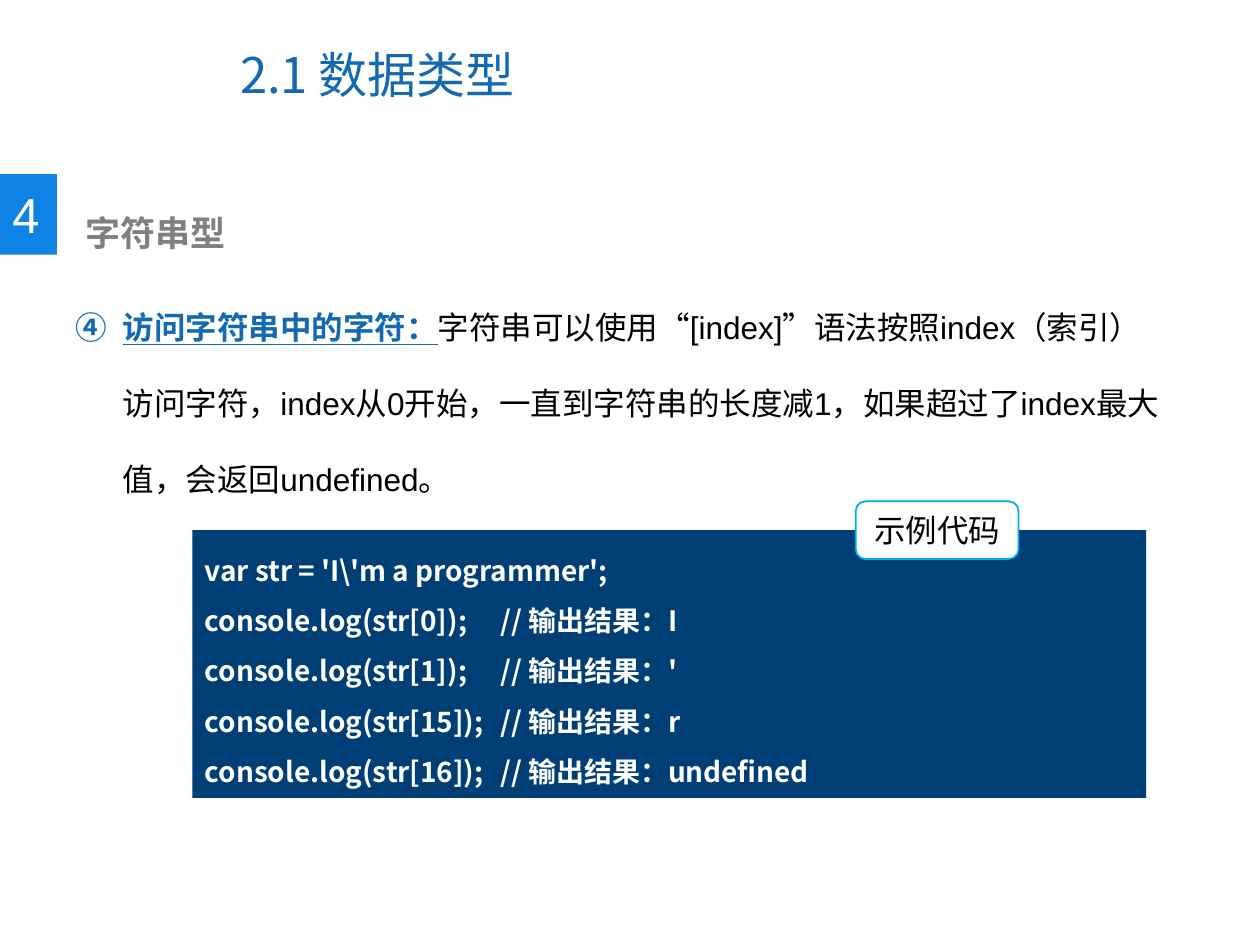
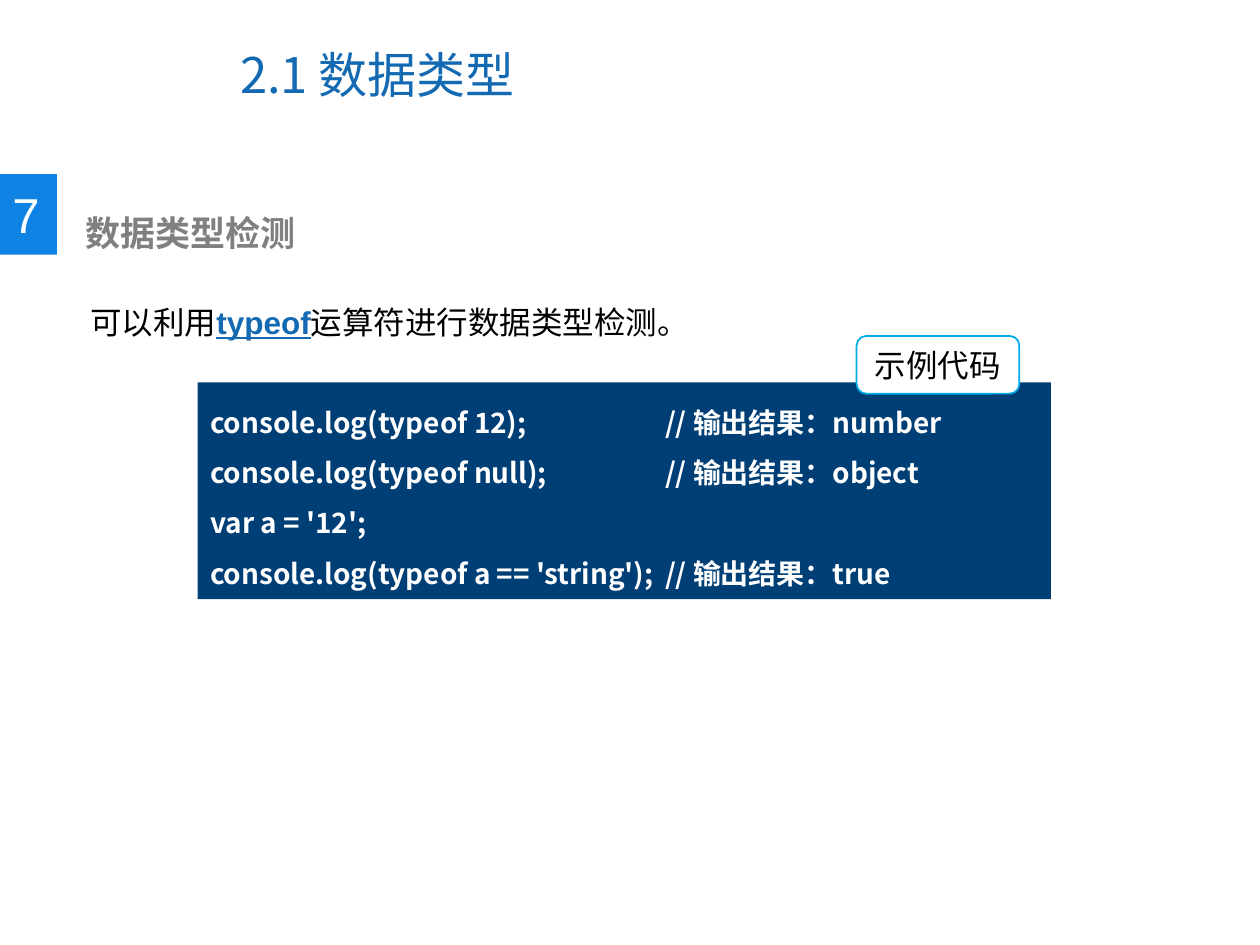
from lxml.etree import SubElement
from pptx import Presentation
from pptx.dml.color import RGBColor
from pptx.enum.shapes import MSO_SHAPE
from pptx.enum.text import MSO_ANCHOR, MSO_AUTO_SIZE, PP_ALIGN
from pptx.oxml.ns import qn
from pptx.util import Pt

# Shared style
LATIN, CJK = "Arial", "Noto Sans CJK SC"
BLUE, BADGE, NAVY, CYAN = "1369B2", "0F83E3", "003F75", "00ACE6"
GREY, BLACK, WHITE = "808080", "000000", "FFFFFF"

TITLE = {"size": Pt(28), "name": LATIN, "bold": False, "color": BLUE}
TITLE_NUMBER = {**TITLE, "name": CJK}
NUMBER = {"size": Pt(28), "name": LATIN, "color": WHITE}
HEADING = {"size": Pt(20), "name": LATIN, "bold": True, "color": GREY}
PLAIN = {"size": Pt(18), "name": LATIN, "color": BLACK}
KEYWORD = {**PLAIN, "bold": True, "underline": True, "color": BLUE}
CODE = {"size": Pt(16), "name": CJK, "bold": True, "color": WHITE}
FRAME = {"word_wrap": True, "auto_size": MSO_AUTO_SIZE.NONE,
         "vertical_anchor": MSO_ANCHOR.TOP}
MIDDLE = {**FRAME, "vertical_anchor": MSO_ANCHOR.MIDDLE}

# Boxes: left, top, width, height in points
TITLE_BOX = (130, 12, 372, 61)
BADGE_BOX = (0, 99.5, 32.5, 46)
HEADING_BOX = (34, 117.5, 370, 31.5)
CHIP_SIZE = (93, 33)


def rgb(value):
    return RGBColor.from_string(value)


def apply(target, values):
    for name, value in values.items():
        setattr(target, name, value)


def place(shape, box):
    apply(shape, dict(zip(("left", "top", "width", "height"), map(Pt, box))))


def write(paragraph, *pieces):
    """Add (text, style) runs to a paragraph."""
    for text, style in pieces:
        run = paragraph.add_run()
        run.text = text
        apply(run.font, {k: v for k, v in style.items() if k != "color"})
        run.font.color.rgb = rgb(style["color"])
        SubElement(run.font._element, qn("a:ea"), typeface=CJK)


def add_block(slide, kind, box, fill, line=None):
    block = slide.shapes.add_shape(kind, *map(Pt, box))
    block.shadow.inherit = False
    block.fill.solid()
    block.fill.fore_color.rgb = rgb(fill)
    if line:
        block.line.color.rgb = rgb(line)
        block.line.width = Pt(1)
    else:
        block.line.fill.background()
    return block


def add_title(slide, box):
    title = slide.shapes.title
    place(title, box)
    apply(title.text_frame, MIDDLE)
    paragraph = title.text_frame.paragraphs[0]
    paragraph.alignment = PP_ALIGN.LEFT
    write(paragraph, ("2.1 ", TITLE_NUMBER), ("数据类型", TITLE))


def add_section(slide, number, heading):
    # Numbered badge at the slide edge
    badge = add_block(slide, MSO_SHAPE.RECTANGLE, BADGE_BOX, BADGE)
    apply(badge.text_frame, {**MIDDLE, "margin_right": 0})
    paragraph = badge.text_frame.paragraphs[0]
    paragraph.alignment = PP_ALIGN.LEFT
    write(paragraph, (number, NUMBER))
    # Section heading
    label = slide.shapes.add_textbox(*map(Pt, HEADING_BOX))
    apply(label.text_frame, {**FRAME, "margin_left": Pt(15)})
    write(label.text_frame.paragraphs[0], (heading, HEADING))


def add_explanation(slide, box, pieces, start=None):
    body = slide.placeholders[1]
    place(body, box)
    apply(body.text_frame, FRAME)
    paragraph = body.text_frame.paragraphs[0]
    apply(paragraph, {"line_spacing": 2.0, "space_before": Pt(0)})
    write(paragraph, *pieces)
    # Circled number, or no bullet at all
    properties = paragraph._p.get_or_add_pPr()
    indent = Pt(27) if start else 0
    properties.set("marL", str(indent))
    properties.set("indent", str(-indent))
    if start:
        SubElement(properties, qn("a:buFont"), typeface="+mj-ea")
        SubElement(properties, qn("a:buAutoNum"),
                   type="circleNumDbPlain", startAt=str(start))
    else:
        SubElement(properties, qn("a:buNone"))


def add_code(slide, box, lines, comment_at, chip_offset):
    panel = add_block(slide, MSO_SHAPE.RECTANGLE, box, NAVY)
    frame = panel.text_frame
    apply(frame, FRAME)
    for index, (statement, result) in enumerate(lines):
        paragraph = frame.add_paragraph() if index else frame.paragraphs[0]
        apply(paragraph, {"line_spacing": 1.5, "alignment": PP_ALIGN.LEFT})
        comment = f"\t// 输出结果：{result}" if result else ""
        write(paragraph, (statement + comment, CODE))
        # Comments line up at one tab stop
        tabs = SubElement(paragraph._p.get_or_add_pPr(), qn("a:tabLst"))
        SubElement(tabs, qn("a:tab"), pos=str(Pt(comment_at)), algn="l")
    # Label over the upper edge
    left, top = box[0] + chip_offset[0], box[1] + chip_offset[1]
    chip = add_block(slide, MSO_SHAPE.ROUNDED_RECTANGLE,
                     (left, top, *CHIP_SIZE), WHITE, CYAN)
    apply(chip.text_frame, MIDDLE)
    paragraph = chip.text_frame.paragraphs[0]
    paragraph.alignment = PP_ALIGN.CENTER
    write(paragraph, ("示例代码", PLAIN))


def add_topic(deck, number, heading, explanation, code):
    slide = deck.slides.add_slide(deck.slide_layouts[1])
    add_title(slide, TITLE_BOX)
    add_section(slide, number, heading)
    add_explanation(slide, **explanation)
    add_code(slide, **code)


def main():
    deck = Presentation()
    deck.slide_width, deck.slide_height = Pt(720), Pt(540)

    # Accessing characters of a string
    add_topic(
        deck, "4", "字符串型",
        {"box": (36, 151, 634, 138), "start": 4, "pieces": [
            ("访问字符串中的字符：", KEYWORD),
            ("字符串可以使用“[index]”语法按照index（索引）访问字符，"
             "index从0开始，一直到字符串的长度减1，"
             "如果超过了index最大值，会返回undefined。", PLAIN)]},
        {"box": (110, 303, 545, 153), "comment_at": 169,
         "chip_offset": (379, -16.5), "lines": [
             ("var str = 'I\\'m a programmer';", None),
             ("console.log(str[0]);", "I"),
             ("console.log(str[1]);", "'"),
             ("console.log(str[15]);", "r"),
             ("console.log(str[16]);", "undefined")]})

    # Detecting data types
    add_topic(
        deck, "7", "数据类型检测",
        {"box": (44.5, 148, 623, 51), "pieces": [
            ("可以利用", PLAIN), ("typeof", KEYWORD),
            ("运算符进行数据类型检测。", PLAIN)]},
        {"box": (113, 218.5, 487.5, 124), "comment_at": 260,
         "chip_offset": (376.5, -26.5), "lines": [
             ("console.log(typeof 12);", "number"),
             ("console.log(typeof null);", "object"),
             ("var a = '12';", None),
             ("console.log(typeof a == 'string');", "true")]})

    deck.save("out.pptx")


if __name__ == "__main__":
    main()
